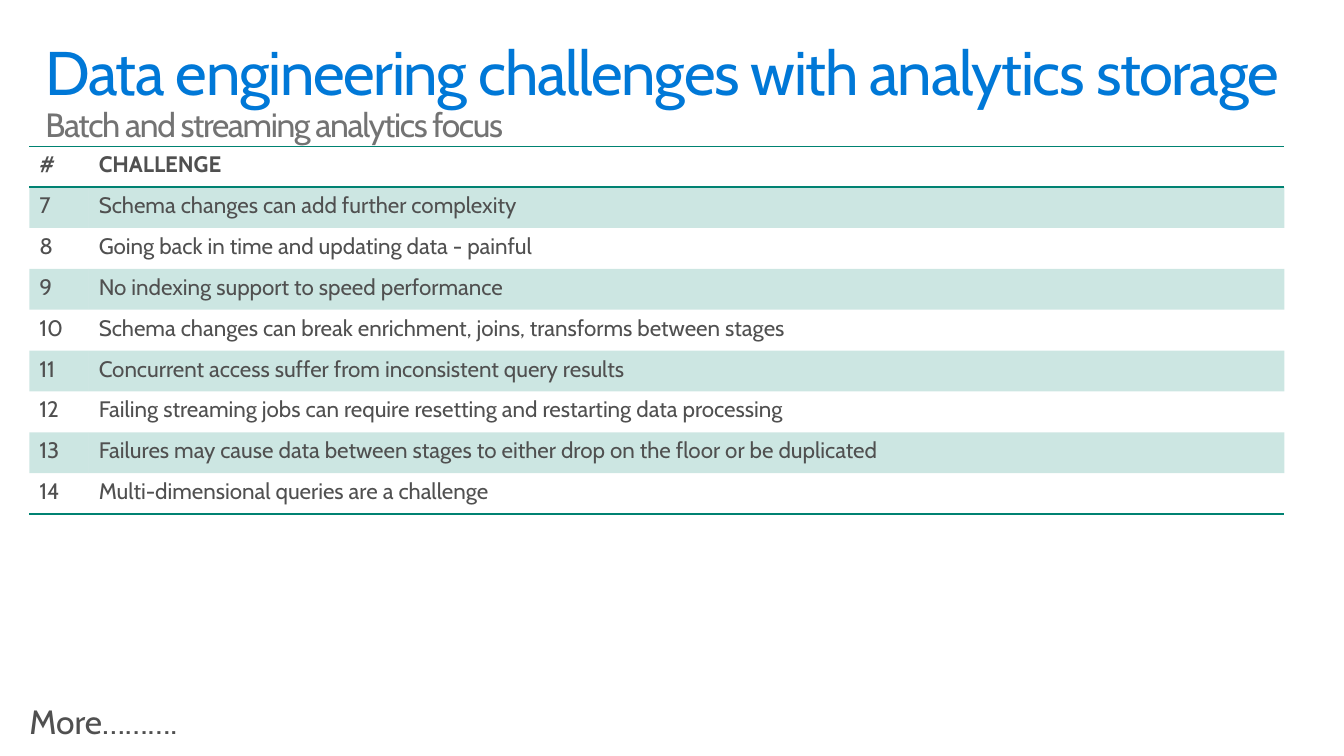
from lxml import etree
from pptx import Presentation
from pptx.dml.color import RGBColor
from pptx.enum.text import MSO_ANCHOR, MSO_AUTO_SIZE, PP_ALIGN
from pptx.oxml import parse_xml
from pptx.oxml.ns import nsdecls, qn
from pptx.util import Inches, Pt

TOP, LEFT = MSO_ANCHOR.TOP, PP_ALIGN.LEFT
FIXED_SIZE = MSO_AUTO_SIZE.NONE

BLUE = RGBColor(0x00, 0x78, 0xD7)
GRAY = RGBColor(0x73, 0x73, 0x73)
DARK = RGBColor(0x50, 0x50, 0x50)
TEAL = RGBColor(0x00, 0x82, 0x72)

FONT = "Cabin"
PLAIN_TABLE_STYLE = "{2D5ABB26-0587-4C30-8999-92F81FD0307C}"
BAND_OPACITY = 20

FIRST_NUMBER = 7
CHALLENGES = [
    "Schema changes can add further complexity",
    "Going back in time and updating data - painful",
    "No indexing support to speed performance",
    "Schema changes can break enrichment, joins, transforms between stages",
    "Concurrent access suffer from inconsistent query results",
    "Failing streaming jobs can require resetting and restarting data processing",
    "Failures may cause data between stages to either drop on the floor or be duplicated",
    "Multi-dimensional queries are a challenge",
]


def format_font(font, size, color, bold=False):
    values = {"name": FONT, "size": Pt(size), "bold": bold}
    for attribute, value in values.items():
        setattr(font, attribute, value)
    font.color.rgb = color


def format_frame(frame, inset_x, inset_y):
    values = {
        "margin_left": Inches(inset_x),
        "margin_right": Inches(inset_x),
        "margin_top": Inches(inset_y),
        "margin_bottom": Inches(inset_y),
        "vertical_anchor": TOP,
        "word_wrap": True,
        "auto_size": FIXED_SIZE,
    }
    for attribute, value in values.items():
        setattr(frame, attribute, value)


def place_title(slide, left, top, width, height):
    title = slide.shapes.title
    title.left, title.top = Inches(left), Inches(top)
    title.width, title.height = Inches(width), Inches(height)
    format_frame(title.text_frame, 0.16, 0.1)
    heading = title.text_frame.paragraphs[0]
    heading.alignment = LEFT
    heading.line_spacing = 0.9
    lines = [
        ("Data engineering challenges with analytics storage", 44, BLUE),
        ("Batch and streaming analytics focus", 24, GRAY),
    ]
    for index, (words, size, color) in enumerate(lines):
        if index:
            heading.add_line_break()
        run = heading.add_run()
        run.text = words
        format_font(run.font, size, color)
        run.font._element.set("spc", "-100")


def add_border(cell, side):
    """Rule one side of a cell; side is lnT or lnB, and lnT comes first."""
    cell._tc.get_or_add_tcPr().append(parse_xml(
        f'<a:{side} {nsdecls("a")} w="{Pt(1)}"><a:solidFill>'
        f'<a:srgbClr val="{TEAL}"/></a:solidFill></a:{side}>'))


def fill_band(cell):
    cell.fill.solid()
    cell.fill.fore_color.rgb = TEAL
    color = cell._tc.tcPr.find(qn("a:solidFill")).find(qn("a:srgbClr"))
    etree.SubElement(color, qn("a:alpha"), val=str(BAND_OPACITY * 1000))


def add_challenge_table(slide, left, top, width, height):
    rows = [("#", "CHALLENGE")]
    rows += [(str(n), words) for n, words in enumerate(CHALLENGES, FIRST_NUMBER)]
    last = len(rows) - 1
    frame = slide.shapes.add_table(len(rows), 2, Inches(left), Inches(top),
                                   Inches(width), Inches(height))
    table = frame.table
    table._tbl.tblPr.find(qn("a:tableStyleId")).text = PLAIN_TABLE_STYLE
    number_width = 0.59
    table.columns[0].width = Inches(number_width)
    table.columns[1].width = Inches(width - number_width)
    for row_index, row in enumerate(rows):
        for column_index, words in enumerate(row):
            cell = table.cell(row_index, column_index)
            cell.text = words
            font = cell.text_frame.paragraphs[0].runs[0].font
            format_font(font, 16, DARK, bold=row_index == 0)
            if row_index == 0:
                add_border(cell, "lnT")
            if row_index in (0, last):
                add_border(cell, "lnB")
            if row_index % 2:
                fill_band(cell)
            else:
                cell.fill.background()


def add_more_note(slide, left, top, width, height):
    note = slide.shapes.add_textbox(Inches(left), Inches(top),
                                    Inches(width), Inches(height))
    format_frame(note.text_frame, 0.2, 0.16)
    paragraph = note.text_frame.paragraphs[0]
    paragraph.line_spacing = 0.9
    paragraph.space_after = Pt(6)
    run = paragraph.add_run()
    run.text = "More………."
    format_font(run.font, 24, DARK)


def main():
    deck = Presentation()
    deck.slide_width, deck.slide_height = Inches(13.33), Inches(7.5)
    slide = deck.slides.add_slide(deck.slide_layouts.get_by_name("Title Only"))
    place_title(slide, 0.29, 0.32, 12.75, 0.98)
    add_challenge_table(slide, 0.29, 1.45, 12.45, 3.65)
    add_more_note(slide, 0.09, 6.84, 6.91, 0.69)
    deck.save("out.pptx")


if __name__ == "__main__":
    main()
